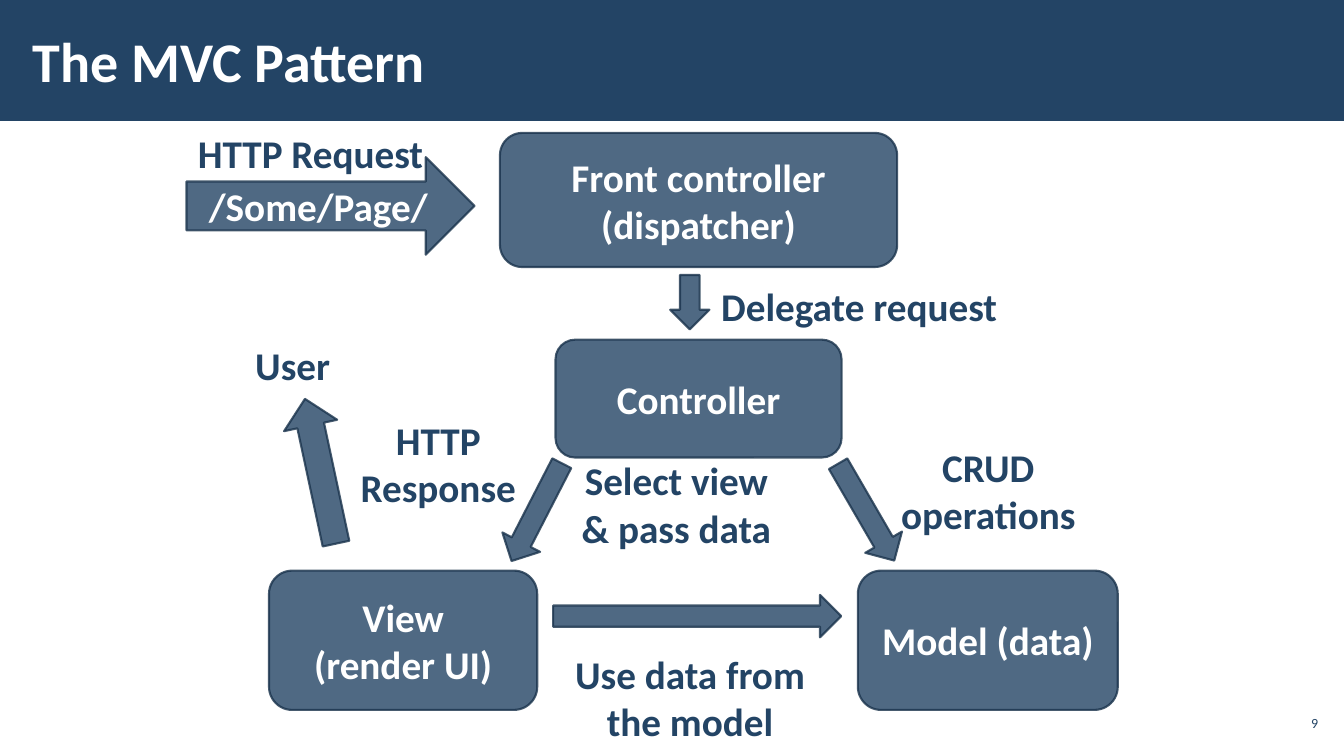
import lxml.etree
import pptx
import pptx.dml.color
import pptx.enum.shapes
import pptx.enum.text
import pptx.oxml.ns
import pptx.util

Cm = pptx.util.Cm
SHAPE = pptx.enum.shapes.MSO_SHAPE
ALIGN = pptx.enum.text.PP_ALIGN
ANCHOR = pptx.enum.text.MSO_ANCHOR
NAVY, DARK_NAVY, WHITE = "234465", "1A334C", "FFFFFF"


def paint(color_format, hex_color, opacity=100):
    color_format.rgb = pptx.dml.color.RGBColor.from_string(hex_color)
    if opacity < 100:
        for color in color_format._xFill.iter(pptx.oxml.ns.qn("a:srgbClr")):
            alpha = lxml.etree.SubElement(color, pptx.oxml.ns.qn("a:alpha"))
            alpha.set("val", str(opacity * 1000))


def write(box, text, size=28, color=NAVY, bold=True, align=ALIGN.CENTER,
          anchor=ANCHOR.MIDDLE, wrap=True, margins=(0.25, 0.13)):
    frame = box.text_frame
    frame.text = text
    frame.word_wrap = wrap
    frame.vertical_anchor = anchor
    frame.margin_left = frame.margin_right = Cm(margins[0])
    frame.margin_top = frame.margin_bottom = Cm(margins[1])
    for para in frame.paragraphs:
        para.alignment = align
        for span in para.runs:
            span.font.name = "Calibri"
            span.font.size = pptx.util.Pt(size)
            span.font.bold = bold
            paint(span.font.color, color)


deck = pptx.Presentation()
deck.slide_width, deck.slide_height = Cm(33.87), Cm(19.05)
page = deck.slides.add_slide(deck.slide_layouts[6])

header = page.shapes.add_shape(SHAPE.RECTANGLE, 0, 0, deck.slide_width, Cm(3.05))
header.shadow.inherit = False
header.fill.solid()
paint(header.fill.fore_color, NAVY)
header.line.fill.background()

title = page.shapes.add_textbox(Cm(0.53), Cm(0.28), Cm(26.42), Cm(2.46))
write(title, "The MVC Pattern", size=40, color=WHITE, align=ALIGN.LEFT,
      margins=(0.3, 0.1))

page_number = page.shapes.add_textbox(Cm(32.13), Cm(17.78), Cm(1.19), Cm(0.86))
write(page_number, "9", size=10, bold=False, align=ALIGN.RIGHT, margins=(0.1, 0.1))

diagram = [
    (SHAPE.RIGHT_ARROW, 4.7, 3.96, 7.26, 2.46, 0, "/Some/Page/"),
    (SHAPE.ROUNDED_RECTANGLE, 12.6, 3.35, 10.01, 3.38, 0, "Front controller (dispatcher)"),
    (SHAPE.ROUNDED_RECTANGLE, 14, 8.56, 7.21, 2.97, 0, "Controller"),
    (SHAPE.ROUNDED_RECTANGLE, 6.78, 14.38, 6.76, 3.51, 0, "View\n(render UI)"),
    (SHAPE.ROUNDED_RECTANGLE, 21.62, 14.38, 6.55, 3.51, 0, "Model (data)"),
    (SHAPE.DOWN_ARROW, 16.89, 6.93, 0.99, 1.37, 0, ""),
    (SHAPE.LEFT_ARROW, 13.94, 14.99, 7.26, 1.07, 180, ""),
    (SHAPE.LEFT_ARROW, 20.42, 12.37, 2.82, 1.07, 239.9, ""),
    (SHAPE.LEFT_ARROW, 12.14, 12.37, 2.77, 1.07, 297.2, ""),
    (SHAPE.DOWN_ARROW, 7.39, 10.01, 1.37, 3.73, 167.9, ""),
]
for kind, left, top, width, height, rotation, text in diagram:
    box = page.shapes.add_shape(kind, Cm(left), Cm(top), Cm(width), Cm(height))
    box.shadow.inherit = False
    box.rotation = rotation
    box.fill.solid()
    paint(box.fill.fore_color, NAVY, opacity=80)
    box.line.width = pptx.util.Pt(1.5)
    box.line.fill.solid()
    paint(box.line.fill.fore_color, DARK_NAVY, opacity=80)
    if text:
        write(box, text, color=WHITE)

labels = [
    (4.7, 3.12, 6.25, 1.45, "HTTP Request"),
    (17.88, 6.99, 7.54, 1.45, "Delegate request"),
    (6.17, 8.48, 2.41, 1.45, "User"),
    (8.81, 10.36, 4.47, 2.64, "HTTP\vResponse"),
    (14.38, 11.38, 5.33, 2.64, "Select view\v& pass data"),
    (22.43, 11.05, 4.95, 2.64, "CRUD\voperations"),
    (14.2, 16.26, 6.38, 2.64, "Use data from\nthe model"),
]
for left, top, width, height, text in labels:
    label = page.shapes.add_textbox(Cm(left), Cm(top), Cm(width), Cm(height))
    write(label, text, anchor=ANCHOR.TOP, wrap=False)
    label.text_frame.auto_size = pptx.enum.text.MSO_AUTO_SIZE.SHAPE_TO_FIT_TEXT

deck.save("out.pptx")
